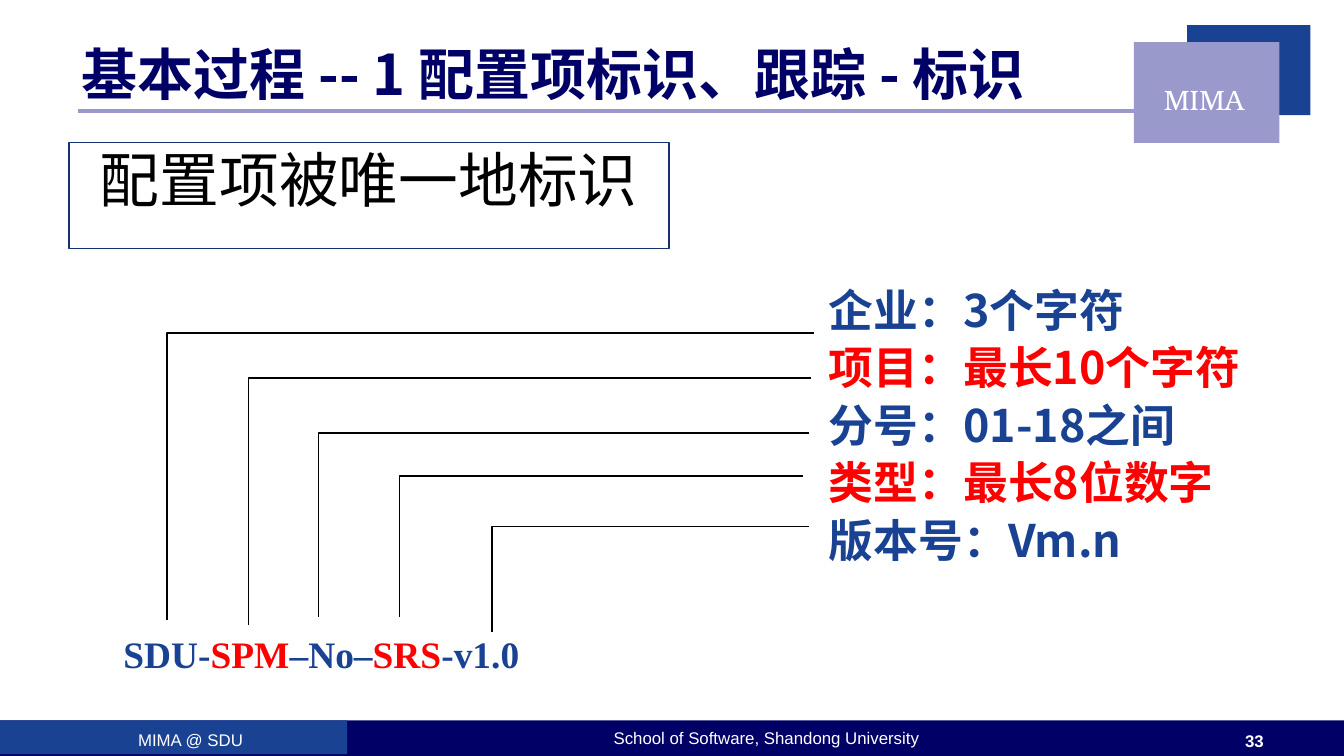
from pptx import Presentation
from pptx.dml.color import RGBColor
from pptx.enum.shapes import MSO_CONNECTOR, MSO_SHAPE
from pptx.enum.text import MSO_ANCHOR, PP_ALIGN
from pptx.oxml.ns import qn
from pptx.util import Pt

RECT = MSO_SHAPE.RECTANGLE
STRAIGHT = MSO_CONNECTOR.STRAIGHT
TOP = MSO_ANCHOR.TOP
LEFT, CENTER, JUSTIFY = PP_ALIGN.LEFT, PP_ALIGN.CENTER, PP_ALIGN.JUSTIFY

COLORS = {"navy": "000066", "blue": "194293", "lilac": "9999CC", "edge": "13326E",
          "red": "FF0000", "black": "000000", "white": "FFFFFF"}
SANS, CJK, SERIF, LOGO = "Arial", "Noto Sans CJK SC", "Times New Roman", "TeX Gyre Bonum"


def rgb(name):
    return RGBColor.from_string(COLORS[name])


def write_text(shape, paragraphs, *, size, font, bold=False, align=LEFT,
               inset=(7.2, 3.6), line_spacing=None, space_after=None):
    """Fill a shape with paragraphs, each a list of (text, colour) runs."""
    frame = shape.text_frame
    frame.word_wrap = True
    frame.vertical_anchor = TOP
    frame.margin_left = frame.margin_right = Pt(inset[0])
    frame.margin_top = frame.margin_bottom = Pt(inset[1])
    for index, runs in enumerate(paragraphs):
        paragraph = frame.add_paragraph() if index else frame.paragraphs[0]
        paragraph.alignment = align
        if line_spacing:
            paragraph.line_spacing = Pt(line_spacing)
        if space_after:
            paragraph.space_after = Pt(space_after)
        for text, color in runs:
            run = paragraph.add_run()
            run.text = text
            run.font.size = Pt(size)
            run.font.bold = bold
            run.font.name = font
            run.font.color.rgb = rgb(color)
            east_asian = run.font._element.makeelement(qn("a:ea"), {"typeface": font})
            run.font._element.append(east_asian)


class SlideBuilder:
    def __init__(self, slide):
        self.shapes = slide.shapes

    def box(self, left, top, width, height, fill=None, edge=None):
        shape = self.shapes.add_shape(RECT, Pt(left), Pt(top), Pt(width), Pt(height))
        shape.shadow.inherit = False
        if fill:
            shape.fill.solid()
            shape.fill.fore_color.rgb = rgb(fill)
        else:
            shape.fill.background()
        if edge:
            shape.line.color.rgb = rgb(edge)
            shape.line.width = Pt(0.75)
        else:
            shape.line.fill.background()
        return shape

    def text(self, left, top, width, height, paragraphs, **style):
        label = self.shapes.add_textbox(Pt(left), Pt(top), Pt(width), Pt(height))
        write_text(label, paragraphs, **style)

    def rule(self, left, right, y, color, width):
        line = self.shapes.add_connector(STRAIGHT, Pt(left), Pt(y), Pt(right), Pt(y))
        line.line.color.rgb = rgb(color)
        line.line.width = Pt(width)
        properties = line._element.spPr
        properties.append(properties.makeelement(qn("a:effectLst"), {}))

    def leader(self, x, bottom, top, right):
        builder = self.shapes.build_freeform(Pt(x), Pt(bottom))
        builder.add_line_segments([(Pt(x), Pt(top)), (Pt(right), Pt(top))], close=False)
        bend = builder.convert_to_shape()
        bend.shadow.inherit = False
        bend.fill.background()
        bend.line.color.rgb = rgb("black")
        bend.line.width = Pt(0.75)


def main():
    prs = Presentation()
    prs.slide_width, prs.slide_height = Pt(720), Pt(405)
    page = SlideBuilder(prs.slides.add_slide(prs.slide_layouts[6]))

    # Header rule, footer bars and corner badge
    page.rule(42, 612, 59.6, "lilac", 2.25)
    page.box(0, 386, 720, 19, "navy")
    page.box(636, 13.5, 66, 48.2, "blue")
    page.box(607.5, 22.5, 78, 54, "lilac")
    page.box(0, 386, 186, 18, "blue")
    page.text(600, 40.5, 90, 25, [[("MIMA", "white")]], size=15, font=LOGO, align=CENTER)

    # Footer labels
    for left, top, width, label, bold in [
        (18, 387.5, 168, "MIMA @ SDU", False),
        (206.5, 386.5, 408, "School of Software, Shandong University", False),
        (655, 388, 34, "33", True),
    ]:
        page.text(left, top, width, 15, [[(label, "white")]],
                  size=9, font=SANS, bold=bold, align=CENTER)

    # Title and statement
    page.text(36.7, 21, 582.5, 39, [[("基本过程 -- 1 配置项标识、跟踪 - 标识", "navy")]],
              size=30, font=CJK, bold=True, inset=(7.2, 0))
    statement = page.box(37, 76.5, 321.5, 56.5, edge="edge")
    write_text(statement, [[("配置项被唯一地标识", "black")]],
               size=32, font=CJK, align=CENTER, inset=(7.2, 0))

    # Example identifier
    identifier = page.box(54, 333.5, 361.5, 43, "white")
    write_text(identifier, [[(" SDU-", "blue"), ("SPM", "red"), ("–No–", "blue"),
                             ("SRS", "red"), ("-v1.0", "blue")]],
               size=20, font=SERIF, bold=True, align=JUSTIFY, inset=(7.2, 4.5))

    # Meaning of each part, in alternating colours
    meanings = ["企业：3个字符", "项目：最长10个字符", "分号：01-18之间",
                "类型：最长8位数字", "版本号：Vm.n"]
    legend = page.box(437, 145.5, 250, 193.5, "white")
    write_text(legend, [[(meaning, ("blue", "red")[index % 2])]
                        for index, meaning in enumerate(meanings)],
               size=24, font=CJK, bold=True, align=JUSTIFY, inset=(7.2, 5),
               line_spacing=29.8, space_after=1)

    # Leaders from identifier parts to meanings: x, bottom, top, right
    for leader in [(89.5, 332, 178.5, 436), (133, 335, 202.5, 434.5),
                   (170.5, 330.5, 232, 433.5), (214, 330.5, 255, 430),
                   (263.5, 338.5, 282, 433.5)]:
        page.leader(*leader)

    prs.save("out.pptx")


if __name__ == "__main__":
    main()
